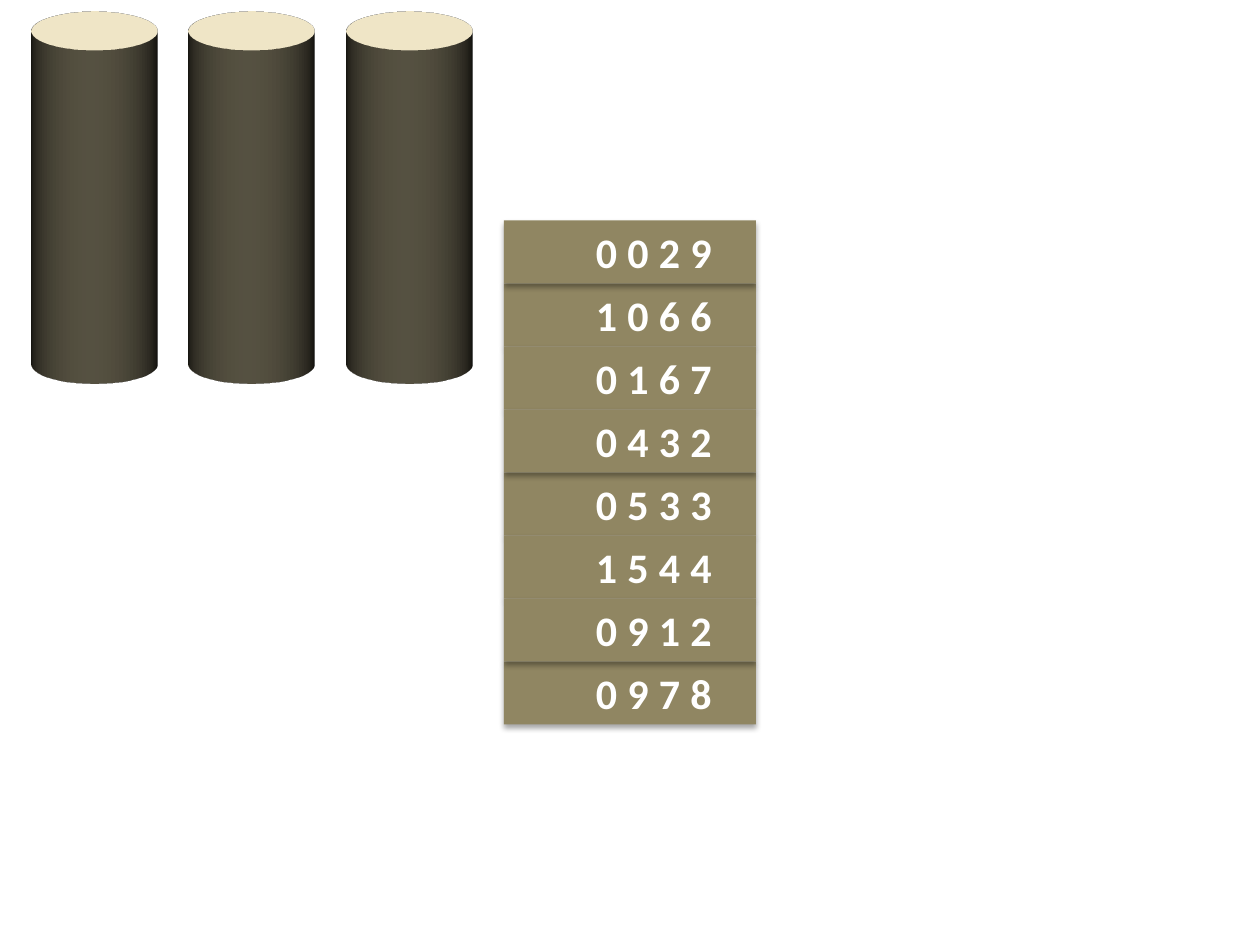
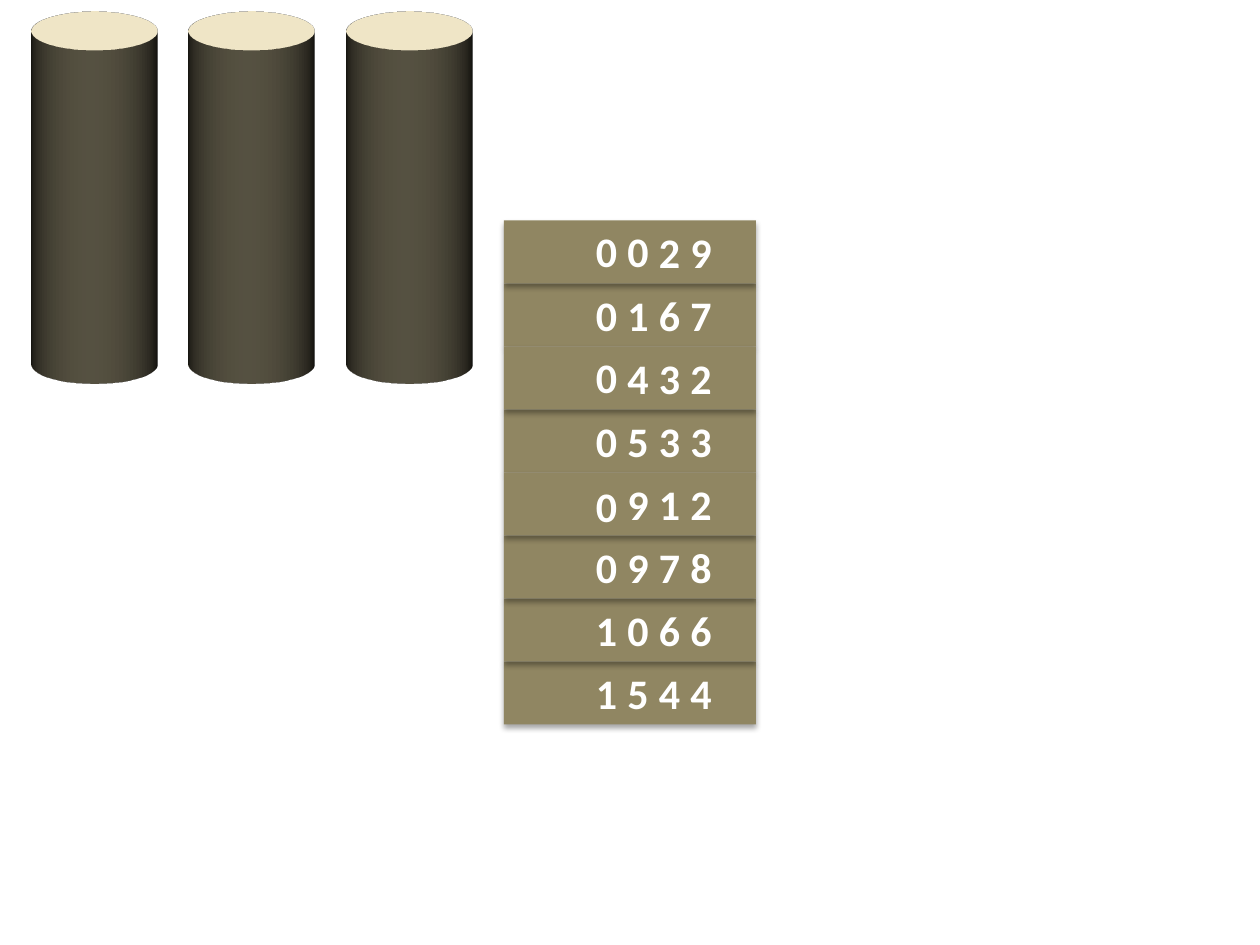
from dataclasses import dataclass

from lxml.etree import SubElement
from pptx import Presentation
from pptx.dml.color import RGBColor
from pptx.enum.shapes import MSO_SHAPE as Preset
from pptx.enum.text import MSO_ANCHOR as Anchor, MSO_AUTO_SIZE as AutoSize
from pptx.oxml import parse_xml
from pptx.oxml.ns import nsdecls, qn
from pptx.util import Inches, Pt


@dataclass(frozen=True)
class Theme:
    """Colours and type shared by both slides."""
    pillar: RGBColor = RGBColor(0xA8, 0x9F, 0x80)
    card: RGBColor = RGBColor(0x90, 0x86, 0x62)
    digit: RGBColor = RGBColor(0xFF, 0xFF, 0xFF)
    font: str = "Calibri"
    digit_size: int = 24
    pillar_line: int = 2


THEME = Theme()
DIGIT_FORMAT = {"name": THEME.font, "size": Pt(THEME.digit_size), "bold": True}
FRAME_FORMAT = {"word_wrap": True, "auto_size": AutoSize.SHAPE_TO_FIT_TEXT,
                "vertical_anchor": Anchor.MIDDLE}

PILLAR_LEFT, PILLAR_TOP, PILLAR_SIZE, PILLAR_STEP = 0.25, -0.25, 1, 1.25
CARD_LEFT, CARD_TOP, CARD_WIDTH, CARD_HEIGHT = 4, 1.75, 2, 0.5
DIGIT_LEFT, DIGIT_WIDTH = 4.63, 0.25

UNSORTED = ["0029", "1066", "0167", "0432", "0533", "1544", "0912", "0978"]
STACKING = ["0533", "1544", "1066", "0167", "0978", "0029", "0432", "0912"]

# Digits that lie above all cards: (number, column) and the shift downwards.
LOOSE_UNSORTED = {("0029", 1): 0, ("0912", 0): 0, ("0978", 0): 0}
LOOSE_SORTED = {("0029", 0): -0.01, ("0029", 1): -0.01, ("0167", 0): 0,
                ("0432", 0): -0.01, ("0533", 0): 0, ("0912", 0): 0.01,
                ("0978", 0): 0}

PILLAR_DEPTH = (
    f'<a:scene3d {nsdecls("a")}><a:camera prst="orthographicFront">'
    '<a:rot lat="17280000" lon="0" rev="0"/></a:camera>'
    '<a:lightRig rig="threePt" dir="t"><a:rot lat="0" lon="0" rev="1200000"/>'
    '</a:lightRig></a:scene3d>',
    f'<a:sp3d {nsdecls("a")} extrusionH="2540000"/>',
)


def add_filled_shape(slide, preset, box, color):
    """Add a flat shape without outline; box is in inches."""
    shape = slide.shapes.add_shape(preset, *map(Inches, box))
    shape.shadow.inherit = False
    shape.fill.solid()
    shape.fill.fore_color.rgb = color
    shape.line.fill.background()
    return shape


def add_pillar(slide, index):
    """Add a disc that is extruded downwards into a pillar."""
    left = PILLAR_LEFT + index * PILLAR_STEP
    box = (left, PILLAR_TOP, PILLAR_SIZE, PILLAR_SIZE)
    pillar = add_filled_shape(slide, Preset.OVAL, box, THEME.pillar)
    pillar.line.color.rgb = THEME.pillar
    pillar.line.width = Pt(THEME.pillar_line)
    for depth in PILLAR_DEPTH:
        pillar.element.spPr.append(parse_xml(depth))
    return pillar


def move_to_layout(shapes, layout):
    """Make the shapes the only content of the layout."""
    for placeholder in list(layout.placeholders):
        layout.shapes.element.remove(placeholder.element)
    for shape in shapes:
        layout.shapes.element.append(shape.element)


def add_soft_shadow(shape):
    """Give the shape a soft shadow below it."""
    effects = shape.element.spPr.find(qn("a:effectLst"))
    shadow = SubElement(effects, qn("a:outerShdw"), blurRad="40000",
                        dist="23000", dir="5400000", rotWithShape="0")
    color = SubElement(shadow, qn("a:srgbClr"), val="000000")
    SubElement(color, qn("a:alpha"), val="35000")


def add_digit(slide, digit, column, top):
    """Add one digit in its own text box."""
    box = (DIGIT_LEFT + column * DIGIT_WIDTH, top, DIGIT_WIDTH, CARD_HEIGHT)
    frame = slide.shapes.add_textbox(*map(Inches, box)).text_frame
    for name, value in FRAME_FORMAT.items():
        setattr(frame, name, value)
    run = frame.paragraphs[0].add_run()
    run.text = digit
    for name, value in DIGIT_FORMAT.items():
        setattr(run.font, name, value)
    run.font.color.rgb = THEME.digit


def add_card(slide, top):
    """Add the plain card behind one number."""
    box = (CARD_LEFT, top, CARD_WIDTH, CARD_HEIGHT)
    add_soft_shadow(add_filled_shape(slide, Preset.RECTANGLE, box, THEME.card))


def add_number_list(slide, numbers, loose):
    """Show the numbers from top to bottom, with the loose digits in front."""
    tops = {number: CARD_TOP + row * CARD_HEIGHT
            for row, number in enumerate(numbers)}
    for number in STACKING:
        add_card(slide, tops[number])
        for column, digit in enumerate(number):
            if (number, column) not in loose:
                add_digit(slide, digit, column, tops[number])
    for (number, column), shift in loose.items():
        add_digit(slide, number[column], column, tops[number] + shift)


def main():
    """Build the list before and after sorting."""
    presentation = Presentation()
    presentation.slide_width, presentation.slide_height = Inches(10), Inches(7.5)
    layout = presentation.slide_layouts[6]
    before, after = (presentation.slides.add_slide(layout) for _ in range(2))
    move_to_layout([add_pillar(before, index) for index in range(3)], layout)
    add_number_list(before, UNSORTED, LOOSE_UNSORTED)
    add_number_list(after, sorted(UNSORTED), LOOSE_SORTED)
    presentation.save("out.pptx")


if __name__ == "__main__":
    main()
